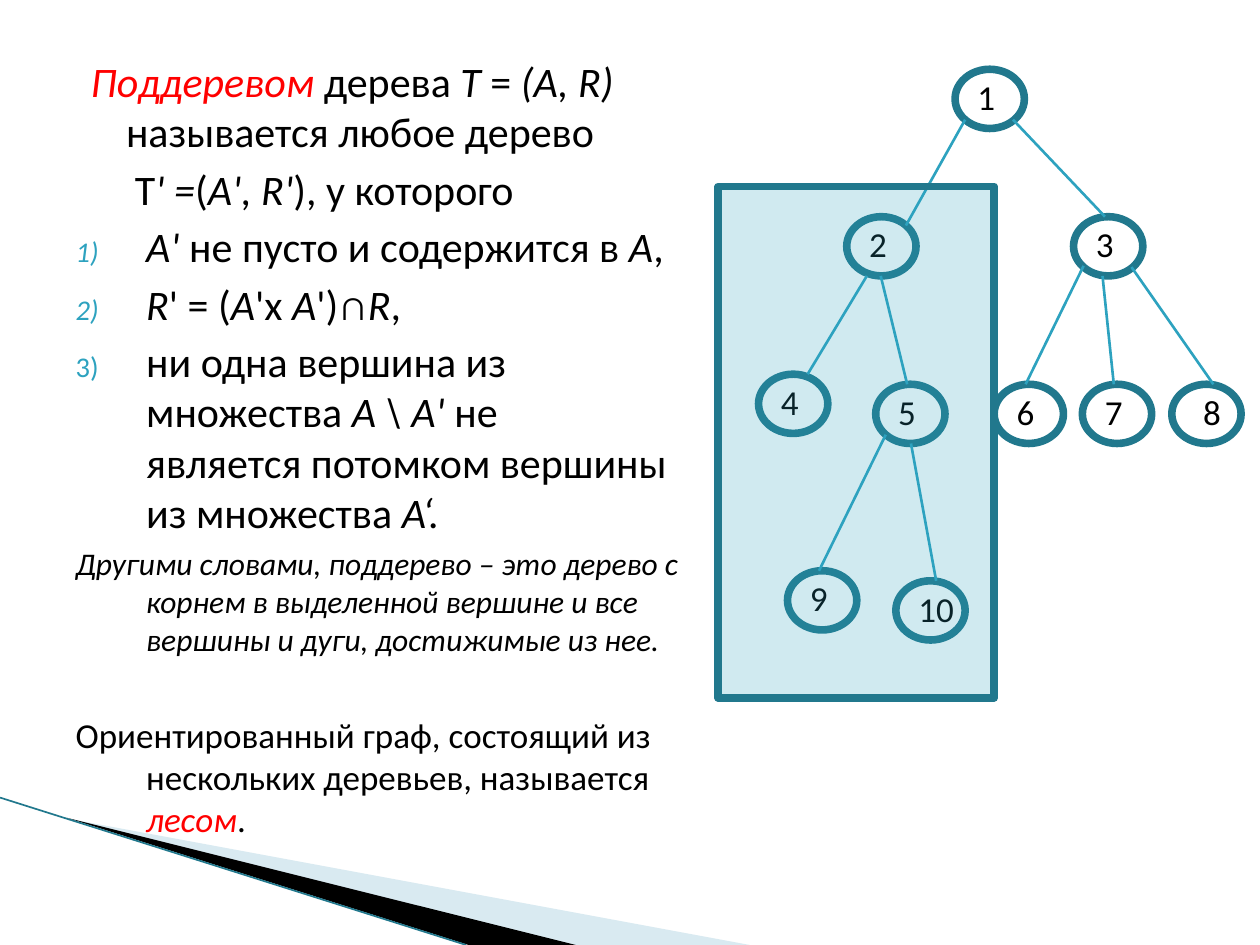
"""Builds a slide that defines a subtree and shows one in a ten-vertex tree."""
from dataclasses import dataclass

import pptx
import pptx.dml.color
import pptx.enum.shapes
import pptx.enum.text
import pptx.oxml
import pptx.oxml.ns
import pptx.util
from pptx.util import Inches


@dataclass(frozen=True)
class Theme:
    """Colours, type sizes and line widths of the slide."""
    font: str = "Calibri"
    ink: str = "000000"
    key: str = "FF0000"
    edge: str = "2DA2BF"
    outline: str = "21788D"
    wave: str = "A0CBDC"
    rule_size: int = 24
    note_size: int = 18
    label_size: int = 20
    outline_width: float = 4.33
    edge_width: float = 1.5
    border_width: float = 0.95


THEME = Theme()

# Run styles: "" plain, "i" italic, "k" italic key term.
STATEMENTS = [
    (dict(left=0.4, first=-0.28), [
        ("Поддеревом ", "k"), ("дерева ", ""), ("Т ", "i"), ("= ", ""),
        ("(А, R) ", "i"), ("называется любое дерево", "")]),
    (dict(left=0.47, first=0), [
        ("T", ""), ("' =", "i"), ("(", ""), ("А', R'", "i"), ("), у которого", "")]),
    (dict(numbered=True), [
        ("А' ", "i"), ("не пусто и содержится в ", ""), ("A", "i"), (",", "")]),
    (dict(numbered=True), [
        ("R", "i"), ("' = (", ""), ("A", "i"), ("'х ", ""), ("A", "i"),
        ("')∩", ""), ("R", "i"), (",", "")]),
    (dict(numbered=True), [
        ("ни одна вершина из множества ", ""), ("А \\ А' ", "i"), ("не", ""),
        ("\n", ""), ("является потомком вершины из множества ", ""), ("А‘.", "i")]),
    (dict(size=THEME.note_size), [
        ("Другими словами, поддерево – это дерево с корнем в выделенной вершине "
         "и все вершины и дуги, достижимые из нее.", "i")]),
    (dict(size=THEME.label_size, before=32), [
        ("Ориентированный граф, состоящий из нескольких деревьев, называется ", ""),
        ("лесом", "k"), (".", "")]),
]

VERTICES = {
    "1": (7.58, 0.55), "2": (6.72, 1.72), "3": (8.52, 1.72), "4": (6.02, 2.97),
    "5": (6.95, 3.05), "8": (9.3, 3.05), "7": (8.59, 3.05), "6": (7.89, 3.05),
    "9": (6.25, 4.53), "10": (7.11, 4.61),
}
LABEL_SHIFTS = {"8": 0.15}
LABEL_WIDTHS = {"10": 0.49}

ARCS = [
    ((7.66, 0.95), (7.19, 1.79)), ((6.88, 2.19), (6.41, 2.97)),
    ((6.99, 2.19), (7.2, 3.05)), ((8.75, 2.19), (8.84, 3.05)),
    ((8.6, 2.11), (8.14, 3.05)), ((8.04, 0.95), (8.77, 1.72)),
    ((7.03, 3.45), (6.5, 4.53)), ((7.23, 3.52), (7.43, 4.61)),
    ((8.98, 2.12), (9.63, 3.05)),
]


def rgb(code):
    """Return the colour for a hex code."""
    return pptx.dml.color.RGBColor.from_string(code)


def apply(target, formats):
    """Set each format value on the target."""
    for name, value in formats.items():
        setattr(target, name, value)


def add_xml(parent, tag, **attributes):
    """Append a DrawingML element with the given attributes."""
    child = pptx.oxml.parse_xml(f"<a:{tag} {pptx.oxml.ns.nsdecls('a')}/>")
    for name, value in attributes.items():
        child.set(name, str(value))
    parent.append(child)
    return child


def paint(shape, fill=None, opacity=100, outline=None):
    """Give a shape its fill, opacity and outline."""
    shape.shadow.inherit = False
    if fill:
        shape.fill.solid()
        shape.fill.fore_color.rgb = rgb(fill)
        if opacity < 100:
            colour = shape.fill._xPr.find(".//" + pptx.oxml.ns.qn("a:srgbClr"))
            add_xml(colour, "alpha", val=opacity * 1000)
    else:
        shape.fill.background()
    if outline:
        shape.line.color.rgb = rgb(outline)
        shape.line.width = pptx.util.Pt(THEME.outline_width)
    else:
        shape.line.fill.background()


def add_run(paragraph, text, size, style=""):
    """Add a run in the plain, italic or key style."""
    run = paragraph.add_run()
    run.text = text
    apply(run.font, dict(name=THEME.font, size=pptx.util.Pt(size), italic=style != ""))
    run.font.color.rgb = rgb(THEME.key if style == "k" else THEME.ink)


def add_line(slide, start, end, colour, width):
    """Draw a straight line between two points."""
    line = slide.shapes.add_connector(
        pptx.enum.shapes.MSO_CONNECTOR.STRAIGHT, *map(Inches, start + end))
    line.line.color.rgb = rgb(colour)
    line.line.width = pptx.util.Pt(width)
    add_xml(line._element.spPr, "effectLst")


def add_wave(slide, points, fill, opacity=100):
    """Draw one filled wedge of the corner decoration."""
    corners = [tuple(map(Inches, point)) for point in points]
    builder = slide.shapes.build_freeform(*corners[0])
    builder.add_line_segments(corners[1:], close=True)
    paint(builder.convert_to_shape(), fill, opacity)


def format_paragraph(paragraph, left=0.56, first=-0.56, before=4, numbered=False):
    """Set indents, spacing and numbering."""
    paragraph.space_before = pptx.util.Pt(before)
    properties = paragraph._p.get_or_add_pPr()
    properties.set("marL", str(Inches(left)))
    properties.set("indent", str(Inches(first)))
    if numbered:
        add_xml(add_xml(properties, "buClr"), "srgbClr", val=THEME.edge)
        add_xml(properties, "buSzPct", val=68000)
        add_xml(properties, "buFont", typeface=THEME.font)
        add_xml(properties, "buAutoNum", type="arabicParenR")
    else:
        add_xml(properties, "buNone")


def fill_definition(body):
    """Write the definition into the body placeholder."""
    apply(body, dict(left=Inches(0.5), top=Inches(0.39),
                     width=Inches(5.13), height=Inches(6.19)))
    frame = body.text_frame
    apply(frame, dict(word_wrap=True, auto_size=pptx.enum.text.MSO_AUTO_SIZE.NONE,
                      vertical_anchor=pptx.enum.text.MSO_ANCHOR.TOP))
    for index, (layout, runs) in enumerate(STATEMENTS):
        paragraph = frame.add_paragraph() if index else frame.paragraphs[0]
        formats = dict(layout)
        size = formats.pop("size", THEME.rule_size)
        format_paragraph(paragraph, **formats)
        for text, style in runs:
            if text == "\n":
                paragraph.add_line_break()
            else:
                add_run(paragraph, text, size, style)


def add_vertex(slide, number, left, top):
    """Draw a tree vertex with its number."""
    vertex = slide.shapes.add_shape(
        pptx.enum.shapes.MSO_SHAPE.OVAL, *map(Inches, (left, top, 0.55, 0.47)))
    paint(vertex, outline=THEME.outline)
    label = slide.shapes.add_textbox(
        Inches(left + LABEL_SHIFTS.get(number, 0.08)), Inches(top),
        Inches(LABEL_WIDTHS.get(number, 0.34)), Inches(0.44))
    label.text_frame.word_wrap = False
    add_run(label.text_frame.paragraphs[0], number, THEME.label_size)


def main():
    """Build and save the slide."""
    deck = pptx.Presentation()
    apply(deck, dict(slide_width=Inches(10), slide_height=Inches(7.5)))
    slide = deck.slides.add_slide(deck.slide_layouts[1])
    title = slide.shapes.title._element
    title.getparent().remove(title)
    add_wave(slide, [(0.55, 6.5), (5.95, 7.5), (4.56, 7.5)], THEME.wave, 40)
    add_wave(slide, [(0.53, 6.49), (4.57, 7.5), (3.72, 7.5)], THEME.ink)
    add_line(slide, (0, 6.33), (3.7, 7.5), THEME.outline, THEME.border_width)
    body = slide.placeholders[1]
    fill_definition(body)
    slide.shapes._spTree.append(body._element)
    for number, (left, top) in VERTICES.items():
        add_vertex(slide, number, left, top)
    for start, end in ARCS:
        add_line(slide, start, end, THEME.edge, THEME.edge_width)
    subtree = slide.shapes.add_shape(
        pptx.enum.shapes.MSO_SHAPE.RECTANGLE, *map(Inches, (5.7, 1.48, 2.19, 4.06)))
    paint(subtree, THEME.edge, 22, THEME.outline)


    deck.save("out.pptx")


if __name__ == "__main__":
    main()
